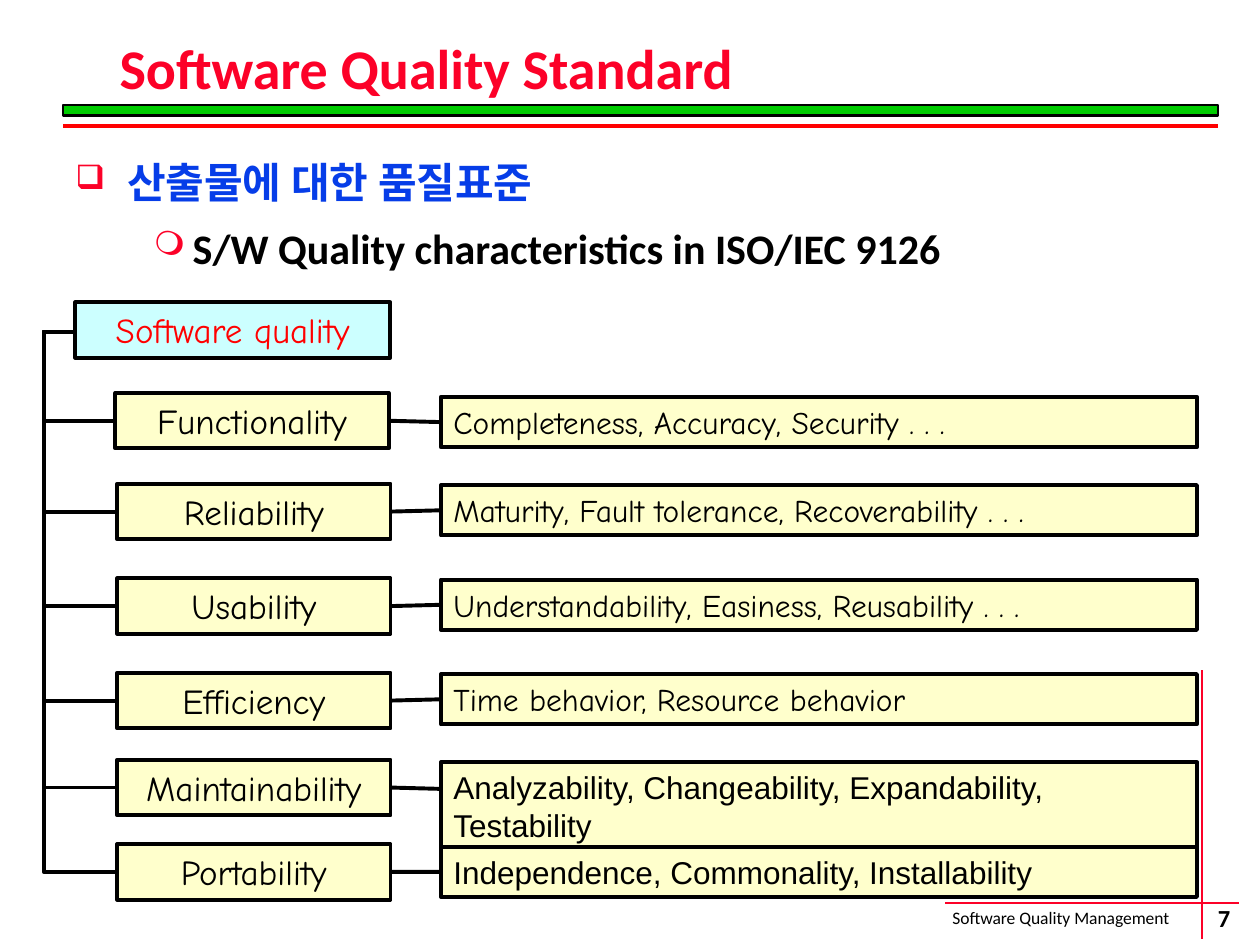
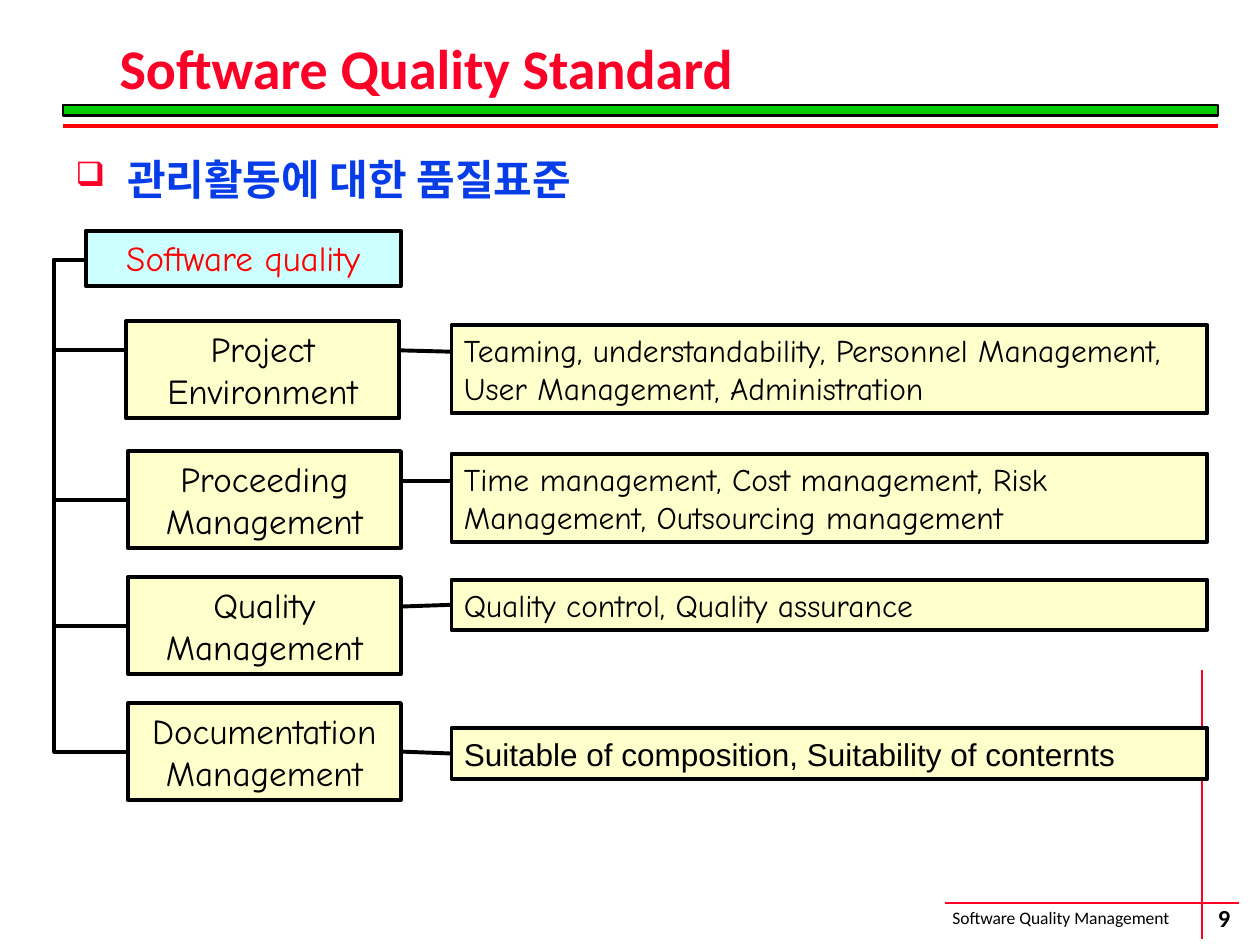
"""Build two slides that map software quality onto its characteristics."""
from dataclasses import dataclass
from typing import Any, Optional

import pptx
import pptx.dml.color
import pptx.enum.shapes
import pptx.enum.text
import pptx.oxml.ns
import pptx.util
from lxml import etree

Pt = pptx.util.Pt
Align = pptx.enum.text.PP_ALIGN
Anchor = pptx.enum.text.MSO_ANCHOR
Link = pptx.enum.shapes.MSO_CONNECTOR
qn = pptx.oxml.ns.qn


@dataclass(frozen=True)
class Theme:
    """Colours, fonts and type sizes of the deck."""
    red: str = "FC0128"
    rule: str = "FF0000"
    green: str = "00CC00"
    blue: str = "063DE8"
    black: str = "000000"
    cyan: str = "CCFFFF"
    cream: str = "FFFFCC"
    sans: str = "Calibri"
    korean: str = "Noto Sans CJK KR"
    comic: str = "Comic Neue"
    plain: str = "Arial"
    title: int = 32
    body: int = 24
    name: int = 20
    detail: int = 18
    number: int = 14
    footer: int = 10
    stroke: float = 2.25


THEME = Theme()


@dataclass(frozen=True)
class Style:
    """Look of one piece of text."""
    font: str
    size: int
    color: str = THEME.black
    bold: bool = False
    align: Any = Align.LEFT


@dataclass(frozen=True)
class Area:
    """A rectangle in points."""
    left: float
    top: float
    width: float
    height: float

    @property
    def middle(self) -> float:
        """Return the height of the horizontal centre line."""
        return self.top + self.height / 2


@dataclass(frozen=True)
class Bullet:
    """A bulleted paragraph."""
    text: str
    mark: str
    margin: float
    hang: float
    style: Style
    before: float = 0


@dataclass(frozen=True)
class Row:
    """A characteristic and the box that details it."""
    name: str
    name_top: float
    detail: str
    detail_top: float
    name_height: float = 31.7
    detail_height: float = 28.8
    detail_font: str = THEME.comic
    branch: Optional[float] = None
    link_start: Optional[float] = None
    link_end: Optional[float] = None


@dataclass(frozen=True)
class Tree:
    """The content of one slide."""
    number: str
    body_top: float
    bullets: list[Bullet]
    shift: float
    root_top: float
    rows: list[Row]


HEADING = Style(THEME.korean, THEME.body, THEME.blue, True)
SUBHEAD = Style(THEME.sans, THEME.body, bold=True)
TITLE = Style(THEME.sans, THEME.title, THEME.red, True)
FOOTER = Style(THEME.sans, THEME.footer)
NUMBER = Style(THEME.sans, THEME.number, bold=True, align=Align.CENTER)
ROOT = Style(THEME.comic, THEME.name, THEME.rule, align=Align.CENTER)
NAME = Style(THEME.comic, THEME.name, align=Align.CENTER)

TREES = [
    Tree("7", 85.8, [
        Bullet("산출물에 대한 품질표준", "❑", 29.5, 29.5, HEADING),
        Bullet("S/W Quality characteristics in ISO/IEC 9126", "❍", 67, 22.3, SUBHEAD, 9),
    ], 0, 172.8, [
        Row("Functionality", 224.6, "Completeness, Accuracy, Security . . .", 226.8),
        Row("Reliability", 276.5, "Maturity, Fault tolerance, Recoverability . . .", 277.2),
        Row("Usability", 330.5, "Understandability, Easiness, Reusability . . .", 331.2),
        Row("Efficiency", 384.5, "Time behavior, Resource behavior", 385.2),
        Row("Maintainability", 434.2, "Analyzability, Changeability, Expandability, Testability", 435.6,
            detail_height=50.4, detail_font=THEME.plain, link_end=450.8),
        Row("Portability", 482.4, "Independence, Commonality, Installability", 483.8,
            detail_font=THEME.plain),
    ]),
    Tree("9", 84.2, [
        Bullet("관리활동에 대한 품질표준", "❑", 29.5, 29.5, HEADING),
    ], 6, 131.8, [
        Row("Project Environment", 183.6,
            "Teaming, understandability, Personnel Management, User Management, Administration", 185.8,
            55.4, 50.4, branch=200.2, link_start=200.2, link_end=201),
        Row("Proceeding Management", 257.8,
            "Time management, Cost management, Risk Management, Outsourcing management", 259.2,
            55.4, 50.4, link_start=275, link_end=275),
        Row("Quality Management", 329.8, "Quality control, Quality assurance", 331.2,
            55.4, link_start=346.6),
        Row("Documentation Management", 401.8, "Suitable of composition, Suitability of conternts", 416.2,
            55.4, detail_font=THEME.plain),
    ]),
]


def rgb(value: str) -> pptx.dml.color.RGBColor:
    """Turn a hex string into a colour."""
    return pptx.dml.color.RGBColor.from_string(value)


def apply(target: Any, values: dict[str, Any]) -> None:
    """Set every attribute in the dict on the target."""
    for key, value in values.items():
        setattr(target, key, value)


def write(para: Any, text: str, style: Style) -> None:
    """Add one styled span to a paragraph."""
    para.alignment = style.align
    span = para.add_run()
    span.text = text
    span.font.color.rgb = rgb(style.color)
    apply(span.font, {"name": style.font, "size": Pt(style.size), "bold": style.bold})
    etree.SubElement(span.font._element, qn("a:ea"), typeface=style.font)


def add_text(page: Any, area: Area, anchor: Any = Anchor.TOP) -> Any:
    """Add a wrapping text box and return its frame."""
    box = page.shapes.add_textbox(Pt(area.left), Pt(area.top), Pt(area.width), Pt(area.height))
    apply(box.text_frame, {"word_wrap": True, "vertical_anchor": anchor})
    return box.text_frame


def add_box(page: Any, area: Area, fill: str, weight: float = THEME.stroke) -> Any:
    """Add an outlined rectangle."""
    box = page.shapes.add_shape(pptx.enum.shapes.MSO_SHAPE.RECTANGLE,
                                Pt(area.left), Pt(area.top), Pt(area.width), Pt(area.height))
    box.shadow.inherit = False
    box.fill.solid()
    box.fill.fore_color.rgb = rgb(fill)
    box.line.color.rgb = rgb(THEME.black)
    box.line.width = Pt(weight)
    return box


def add_label(page: Any, area: Area, fill: str, text: str, style: Style) -> Any:
    """Add a rectangle that holds text."""
    box = add_box(page, area, fill)
    apply(box.text_frame, {"word_wrap": True, "vertical_anchor": Anchor.TOP,
                           "auto_size": pptx.enum.text.MSO_AUTO_SIZE.SHAPE_TO_FIT_TEXT})
    write(box.text_frame.paragraphs[0], text, style)
    return box


def add_line(page: Any, x1: float, y1: float, x2: float, y2: float, color: str = THEME.black,
             weight: float = THEME.stroke, kind: Any = Link.STRAIGHT) -> Any:
    """Add a connector without a shadow."""
    line = page.shapes.add_connector(kind, Pt(x1), Pt(y1), Pt(x2), Pt(y2))
    line.line.color.rgb = rgb(color)
    line.line.width = Pt(weight)
    etree.SubElement(line._element.spPr, qn("a:effectLst"))
    return line


def add_branch(page: Any, root: Area, spine: float, left: float, top: float) -> None:
    """Run an elbow from the root along the spine to a characteristic."""
    line = add_line(page, root.left, root.middle + 1, left, top, kind=Link.ELBOW)
    bend = round((spine - root.left) / (left - root.left) * 100000)
    guides = line._element.spPr.find(qn("a:prstGeom")).get_or_add_avLst()
    etree.SubElement(guides, qn("a:gd"), name="adj1", fmla=f"val {bend}")


def add_row(page: Any, row: Row, root: Area, shift: float, inset: float) -> None:
    """Draw a characteristic, its details and the lines that join them."""
    name = Area(67 + shift - inset, row.name_top, 156.2, row.name_height)
    detail = Area(252 + shift, row.detail_top, 432, row.detail_height)
    name_box = add_label(page, name, THEME.cream, row.name, NAME)
    detail_box = add_label(page, detail, THEME.cream, row.detail, Style(row.detail_font, THEME.detail))
    add_branch(page, root, 25 + shift, name.left, row.branch or name.middle)
    link = add_line(page, name.left + name.width, row.link_start or name.middle,
                    detail.left, row.link_end or detail.middle)
    if row.link_start is None:
        link.begin_connect(name_box, 3)
    if row.link_end is None:
        link.end_connect(detail_box, 1)


def add_bullets(page: Any, top: float, bullets: list[Bullet]) -> None:
    """Write the bulleted headings."""
    frame = add_text(page, Area(36, top, 660, 433.4))
    for index, bullet in enumerate(bullets):
        para = frame.add_paragraph() if index else frame.paragraphs[0]
        if bullet.before:
            para.space_before = Pt(bullet.before)
        props = para._p.get_or_add_pPr()
        props.set("marL", str(Pt(bullet.margin)))
        props.set("indent", str(-Pt(bullet.hang)))
        color = etree.SubElement(props, qn("a:buClr"))
        etree.SubElement(color, qn("a:srgbClr"), val=THEME.red)
        etree.SubElement(props, qn("a:buSzPct"), val="80000")
        etree.SubElement(props, qn("a:buChar"), char=bullet.mark)
        write(para, bullet.text, bullet.style)


def add_frame(page: Any, number: str) -> None:
    """Draw the footer, the title band and the title."""
    add_line(page, 540, 516.2, 707.8, 516.2, THEME.red, 1)
    write(add_text(page, Area(537.1, 514.8, 157.7, 19.4)).paragraphs[0], "Software Quality Management", FOOTER)
    add_line(page, 686.9, 383, 686.9, 536.4, THEME.red, 1)
    corner = add_text(page, Area(663.8, 514.1, 71.3, 20.2), Anchor.MIDDLE)
    apply(corner, dict.fromkeys(("margin_left", "margin_top", "margin_right", "margin_bottom"), 0))
    write(corner.paragraphs[0], number, NUMBER)
    add_box(page, Area(36, 60, 660, 6), THEME.green, 1.5)
    add_line(page, 36, 72, 696, 72, THEME.rule)
    title = add_text(page, Area(61.2, 25.2, 632.2, 31.7), Anchor.MIDDLE).paragraphs[0]
    title.line_spacing = 0.9
    write(title, "Software Quality Standard", TITLE)


def add_tree(deck: Any, tree: Tree) -> None:
    """Build one slide."""
    page = deck.slides.add_slide(deck.slide_layouts[6])
    add_frame(page, tree.number)
    add_bullets(page, tree.body_top, tree.bullets)
    root = Area(43 + tree.shift, tree.root_top, 180, 31.7)
    add_label(page, root, THEME.cyan, "Software quality", ROOT)
    for index, row in enumerate(tree.rows):
        add_row(page, row, root, tree.shift, 0 if index else 1)


def main() -> None:
    """Build and save the deck."""
    deck = pptx.Presentation()
    apply(deck, {"slide_width": Pt(720), "slide_height": Pt(540)})
    for tree in TREES:
        add_tree(deck, tree)
    deck.save("out.pptx")


if __name__ == "__main__":
    main()
